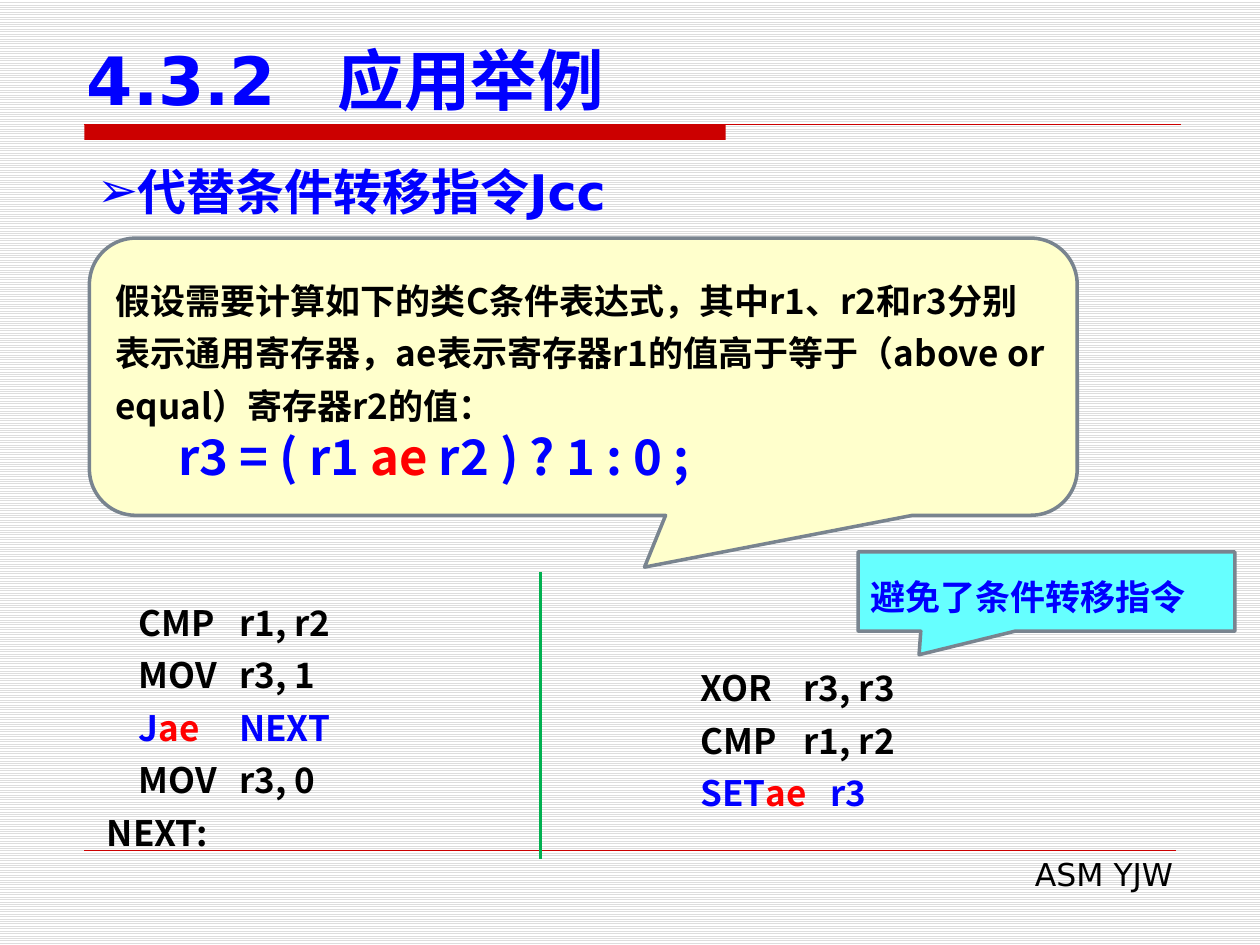
from lxml.etree import SubElement
from pptx import Presentation
from pptx.dml.color import RGBColor
from pptx.enum.dml import MSO_PATTERN
from pptx.enum.shapes import MSO_CONNECTOR, MSO_SHAPE as Preset
from pptx.enum.text import MSO_ANCHOR as Anchor, MSO_AUTO_SIZE, PP_ALIGN as Align
from pptx.oxml.ns import qn
from pptx.util import Inches, Pt

BLACK, BLUE, RED = "000000", "0000FF", "FF0000"
CRIMSON, GREEN, GREY = "CC0000", "00B050", "79848F"
SANS, CJK = "DejaVu Sans", "Noto Sans CJK SC"

TITLE = "4.3.2\t应用举例"
TOPIC = "代替条件转移指令Jcc"
FOOTER = "ASM YJW"
PROBLEM = (
    "假设需要计算如下的类C条件表达式，其中r1、r2和r3分别表示通用寄存器，"
    "ae表示寄存器r1的值高于等于（above or equal）寄存器r2的值："
)
FORMULA = [("r3 = ( r1 ", BLUE), ("ae", RED), (" r2 ) ? 1 : 0 ;", BLUE)]
BENEFIT = "避免了条件转移指令"

JUMP_CODE = [
    [("    CMP\tr1, r2", BLACK)],
    [("    MOV\tr3, 1", BLACK)],
    [("    J", BLUE), ("ae", RED), ("\tNEXT", BLUE)],
    [("    MOV\tr3, 0", BLACK)],
    [("NEXT:", BLACK)],
]
SET_CODE = [
    [("XOR\tr3, r3", BLACK)],
    [("CMP\tr1, r2", BLACK)],
    [("SET", BLUE), ("ae", RED), ("\tr3", BLUE)],
]
LISTINGS = [
    (JUMP_CODE, (0.75, 4.64, 3.87, 2.2), [1.05]),
    (SET_CODE, (5.46, 5.16, 3.87, 1.36), [0.82, 1.03]),
]
RULES = [
    ((0.67, 0.99), (9.37, 0.99), CRIMSON, 0.75),
    ((0.67, 6.75), (9.33, 6.75), CRIMSON, 0.25),
    ((4.29, 4.54), (4.29, 6.82), GREEN, 1.5),
]


def rgb(code):
    return RGBColor.from_string(code)


def place(shape, box):
    for side, length in zip(("left", "top", "width", "height"), box):
        setattr(shape, side, Inches(length))


def prepare(shape, anchor=Anchor.TOP):
    frame = shape.text_frame
    settings = {"word_wrap": True, "auto_size": MSO_AUTO_SIZE.NONE, "vertical_anchor": anchor}
    for name, value in settings.items():
        setattr(frame, name, value)
    return frame


def add_tabs(paragraph, stops):
    tabs = SubElement(paragraph._p.get_or_add_pPr(), qn("a:tabLst"))
    for stop in stops:
        SubElement(tabs, qn("a:tab"), pos=str(Inches(stop)), algn="l")


def write(paragraph, runs, size, face=CJK, bold=True, align=Align.LEFT, spacing=None):
    layout = {"alignment": align, "space_before": Pt(0), "line_spacing": spacing}
    for name, value in layout.items():
        setattr(paragraph, name, value)
    for words, color in runs:
        run = paragraph.add_run()
        run.text = words
        for name, value in {"size": Pt(size), "name": face, "bold": bold}.items():
            setattr(run.font, name, value)
        run.font.color.rgb = rgb(color)
        SubElement(run.font._element, qn("a:ea"), typeface=CJK)


def add_rule(shapes, start, end, color, width):
    ends = [Inches(length) for length in (*start, *end)]
    rule = shapes.add_connector(MSO_CONNECTOR.STRAIGHT, *ends)
    rule.line.color.rgb = rgb(color)
    rule.line.width = Pt(width)
    SubElement(rule._element.spPr, qn("a:effectLst"))


def add_block(shapes, preset, box, fill, line=None, adjustments=()):
    block = shapes.add_shape(preset, *map(Inches, box))
    block.shadow.inherit = False
    block.fill.solid()
    block.fill.fore_color.rgb = rgb(fill)
    if line:
        block.line.color.rgb = rgb(line)
        block.line.width = Pt(2)
    else:
        block.line.fill.background()
    for index, value in enumerate(adjustments):
        block.adjustments[index] = value
    return block


def main():
    deck = Presentation()
    deck.slide_width, deck.slide_height = Inches(10), Inches(7.5)
    slide = deck.slides.add_slide(deck.slide_layouts[1])
    shapes = slide.shapes

    paper = slide.background.fill
    paper.patterned()
    paper.pattern = MSO_PATTERN.LIGHT_HORIZONTAL
    paper.fore_color.rgb = rgb("DDDDDD")
    paper.back_color.rgb = rgb("FFFFFF")

    add_block(shapes, Preset.RECTANGLE, (0.67, 0.99, 5.09, 0.12), CRIMSON)
    for rule in RULES:
        add_rule(shapes, *rule)

    title = shapes.title
    place(title, (0.59, 0.28, 9.06, 0.71))
    heading = prepare(title, Anchor.BOTTOM).paragraphs[0]
    add_tabs(heading, [1.99])
    write(heading, [(TITLE, BLUE)], 38, SANS)

    topic = slide.placeholders[1]
    place(topic, (0.67, 1.23, 8.66, 0.57))
    bullet = prepare(topic).paragraphs[0]
    properties = bullet._p.get_or_add_pPr()
    for name in ("marL", "indent"):
        properties.set(name, "0")
    SubElement(properties, qn("a:buFont"), typeface=SANS)
    SubElement(properties, qn("a:buChar"), char="➢")
    write(bullet, [(TOPIC, BLUE)], 28, SANS)

    footer = shapes.add_textbox(*map(Inches, (3.82, 6.74, 5.59, 0.4)))
    write(prepare(footer).paragraphs[0], [(FOOTER, BLACK)], 18, SANS, False, Align.RIGHT)

    for lines, box, stops in LISTINGS:
        frame = prepare(shapes.add_textbox(*map(Inches, box)))
        for number, runs in enumerate(lines):
            line = frame.add_paragraph() if number else frame.paragraphs[0]
            add_tabs(line, stops)
            write(line, runs, 20, spacing=Pt(30))

    problem = add_block(shapes, Preset.ROUNDED_RECTANGULAR_CALLOUT, (0.71, 1.89, 7.84, 2.2),
                        "FFFFCC", GREY, (0.062, 0.687, 0.167))
    frame = prepare(problem, Anchor.MIDDLE)
    write(frame.paragraphs[0], [(PROBLEM, BLACK)], 20, spacing=Pt(30))
    formula = frame.add_paragraph()
    formula._p.get_or_add_pPr().set("marL", str(Inches(0.5)))
    write(formula, FORMULA, 28)

    benefit = add_block(shapes, Preset.RECTANGULAR_CALLOUT, (6.81, 4.38, 2.99, 0.63),
                        "66FFFF", GREY, (-0.338, 0.797))
    write(prepare(benefit, Anchor.MIDDLE).paragraphs[0], [(BENEFIT, BLUE)], 20, spacing=Pt(30))

    deck.save("out.pptx")


if __name__ == "__main__":
    main()
